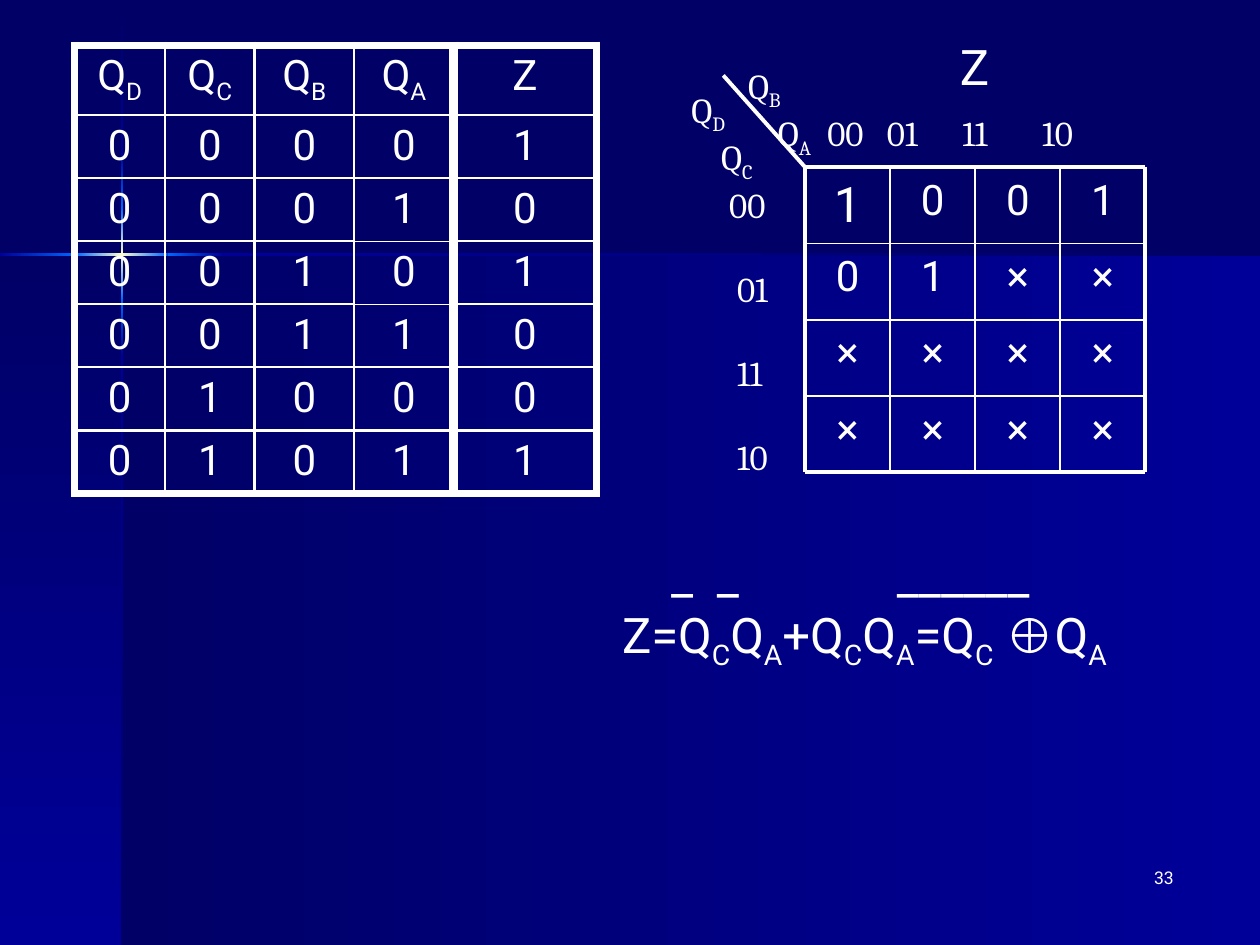
from lxml import etree
from pptx import Presentation
from pptx.dml.color import RGBColor
from pptx.enum.shapes import MSO_CONNECTOR, MSO_SHAPE
from pptx.enum.text import PP_ALIGN
from pptx.oxml import parse_xml
from pptx.oxml.ns import nsdecls, qn
from pptx.util import Cm, Pt

LEFT, MID, RIGHT = PP_ALIGN.LEFT, PP_ALIGN.CENTER, PP_ALIGN.RIGHT
RECT, LINE = MSO_SHAPE.RECTANGLE, MSO_CONNECTOR.STRAIGHT
COLORS = {"dark": "000066", "blue": "000099", "glow": "0066FF",
          "spark": "FFFFCC", "ink": "FFFFFF"}
SANS, SERIF, SIGN = "Roboto", "Cambria", "Times New Roman"

# Backdrop parts: left, top, width, height, angle, gradient colours
PANELS = [
    (2.46, 5.13, 22.94, 13.92, 0, "dark blue"),
    (0, 5.13, 2.46, 13.92, 90, "dark blue"),
    (2.44, 0.03, 0.05, 3.04, 90, "dark blue"),
    (2.44, 7.16, 0.05, 11.89, 90, "blue dark"),
    (4.5, 5.11, 20.9, 0.05, 0, "blue dark"),
    (2.44, 6.05, 0.05, 1.11, 90, "glow blue"),
    (2.44, 3.07, 0.05, 1.12, 90, "blue glow"),
    (2.44, 4.19, 0.05, 1.86, 90, "glow spark glow"),
    (0, 5.11, 1.55, 0.05, 0, "blue glow"),
    (3.38, 5.11, 1.12, 0.05, 0, "glow blue"),
    (1.52, 5.11, 1.86, 0.05, 0, "glow spark glow"),
]
# A character after ~ is a subscript
TRUTH = ["Q~D Q~C Q~B Q~A Z", "0 0 0 0 1", "0 0 0 1 0", "0 0 1 0 1",
         "0 0 1 1 0", "0 1 0 0 0", "0 1 0 1 1"]
COLS = [1.83, 1.8, 2.01, 2.01, 2.87]
MAP = ["1001", "01××", "××××", "××××"]
GRID = (16.23, 3.37, 6.86, 6.15)


def tint(name):
    return RGBColor.from_string(COLORS[name])


def style(run, size, face):
    run.font.size = Pt(size)
    run.font.name = face
    run.font.color.rgb = tint("ink")


def write(para, text, size, face=SANS, align=LEFT, tabs=(), gap=0):
    """Fill a paragraph, with ~ before a subscript or the sum sign."""
    para.alignment = align
    if gap:
        para.space_before = Pt(gap)
    if tabs:
        stops = etree.SubElement(para._p.get_or_add_pPr(), qn("a:tabLst"))
        for pos in tabs:
            etree.SubElement(stops, qn("a:tab"), pos=str(Cm(pos)), algn="l")
    head, *tails = text.split("~")
    parts = [(head, False)]
    for tail in tails:
        parts += [(tail[0], True), (tail[1:], False)]
    for part, mark in parts:
        if not part:
            continue
        run = para.add_run()
        run.text = part
        style(run, size, SIGN if part == "⊕" else face)
        if mark and part != "⊕":
            run.font._element.set("baseline", "-25000")


def label(slide, box, lines, size, face=SANS, align=LEFT):
    """Add a text box; each line is text, tab stops and space before."""
    frame = slide.shapes.add_textbox(*map(Cm, box)).text_frame
    frame.word_wrap = True
    for i, (text, tabs, gap) in enumerate(lines):
        para = frame.add_paragraph() if i else frame.paragraphs[0]
        write(para, text, size, face, align, tabs, gap)


def panel(slide, x, y, w, h, angle, names):
    shape = slide.shapes.add_shape(RECT, Cm(x), Cm(y), Cm(w), Cm(h))
    shape.shadow.inherit = False
    shape.line.fill.background()
    shape.fill.gradient()
    shape.fill._xPr.find(qn("a:gradFill")).find(qn("a:lin")).set(
        "ang", str(angle * 60000))
    stops = shape.fill._xPr.find(qn("a:gradFill")).find(qn("a:gsLst"))
    for old in list(stops):
        stops.remove(old)
    names = names.split()
    for i, name in enumerate(names):
        stop = etree.SubElement(stops, qn("a:gs"),
                                pos=str(100000 * i // (len(names) - 1)))
        etree.SubElement(stop, qn("a:srgbClr"), val=COLORS[name])


def rule(slide, x1, y1, x2, y2, width):
    line = slide.shapes.add_connector(LINE, Cm(x1), Cm(y1), Cm(x2), Cm(y2))
    line.line.color.rgb = tint("ink")
    line.line.width = Pt(width)
    etree.SubElement(line._element.spPr, qn("a:effectLst"))


def edge(cell, sides):
    """Set border widths in points, in the order left, right, top, bottom."""
    props = cell._tc.get_or_add_tcPr()
    for i, (side, width) in enumerate(zip("LRTB", sides)):
        props.insert(i, parse_xml(
            f'<a:ln{side} {nsdecls("a")} w="{Pt(width)}"><a:solidFill>'
            f'<a:srgbClr val="{COLORS["ink"]}"/></a:solidFill></a:ln{side}>'))


def truth(slide):
    rows, cols = len(TRUTH), len(COLS)
    table = slide.shapes.add_table(rows, cols, Cm(1.5), Cm(0.91),
                                   Cm(sum(COLS)), Cm(1.27 * rows)).table
    table.first_row = table.horz_banding = False
    for col, width in zip(table.columns, COLS):
        col.width = Cm(width)
    across = [4.5, 1.5, 1.5, 1.5, 6, 4.5]
    down = [4.5] + [1.5] * (rows - 1) + [4.5]
    for r, line in enumerate(TRUTH):
        for c, text in enumerate(line.split()):
            cell = table.cell(r, c)
            cell.fill.background()
            edge(cell, (*across[c:c + 2], *down[r:r + 2]))
            write(cell.text_frame.paragraphs[0], text, 24, align=MID)
    # Finer lines around the fourth row's Q_A cell
    for r, side in ((2, "B"), (3, "T"), (3, "B"), (4, "T")):
        props = table.cell(r, 3)._tc.tcPr
        props.find(qn(f"a:ln{side}")).set("w", str(Pt(0.75)))


def karnaugh(slide):
    x, y, w, h = GRID
    dx, dy = w / 4, h / 4
    for r, line in enumerate(MAP):
        for c, text in enumerate(line):
            size = 28 if r == c == 0 else 24
            label(slide, (x + c * dx, y + r * dy, dx, dy),
                  [(text, (), 0)], size, align=MID)
    for i in range(5):
        width = 2.25 if i in (0, 4) else 1
        rule(slide, x, y + i * dy, x + w, y + i * dy, width)
        rule(slide, x + i * dx, y, x + i * dx, y + h, width)
    rule(slide, x, y, 14.58, 1.52, 2.25)

    # Column and row headings
    label(slide, (14.83, 1.17, 8.31, 1.96),
          [("Q~B", (), 0),
           ("\tQ~A\t00\t01\t11\t10", (0.6, 1.6, 2.8, 4.32, 5.93), 0)],
          20, SERIF)
    side = [("Q~D", (), 0), ("\tQ~C", (0.6,), 0), ("\t00", (0.76,), 0)]
    side += [("\t" + code, (0.92,), 24) for code in ("01", "11", "10")]
    label(slide, (13.69, 1.65, 2.29, 7.87), side, 20, SERIF)


def main():
    deck = Presentation()
    deck.slide_width, deck.slide_height = Cm(25.4), Cm(19.05)
    slide = deck.slides.add_slide(deck.slide_layouts[6])
    slide.background.fill.solid()
    slide.background.fill.fore_color.rgb = tint("dark")
    for part in PANELS:
        panel(slide, *part)

    karnaugh(slide)
    label(slide, (18.62, 17.35, 5.29, 1.27), [("33", (), 0)], 10, align=RIGHT)
    truth(slide)

    # Map title and result with its overbars
    label(slide, (18.82, 0.61, 1.65, 1.45), [("Z", (), 0)], 28, align=MID)
    label(slide, (12.29, 10.87, 11.1, 2.64),
          [("\t_\t_\t______", (0.99, 1.91, 5.54), 0),
           ("Z=Q~CQ~A+Q~CQ~A=Q~C ~⊕Q~A", (), 0)], 28)
    deck.save("out.pptx")


if __name__ == "__main__":
    main()
